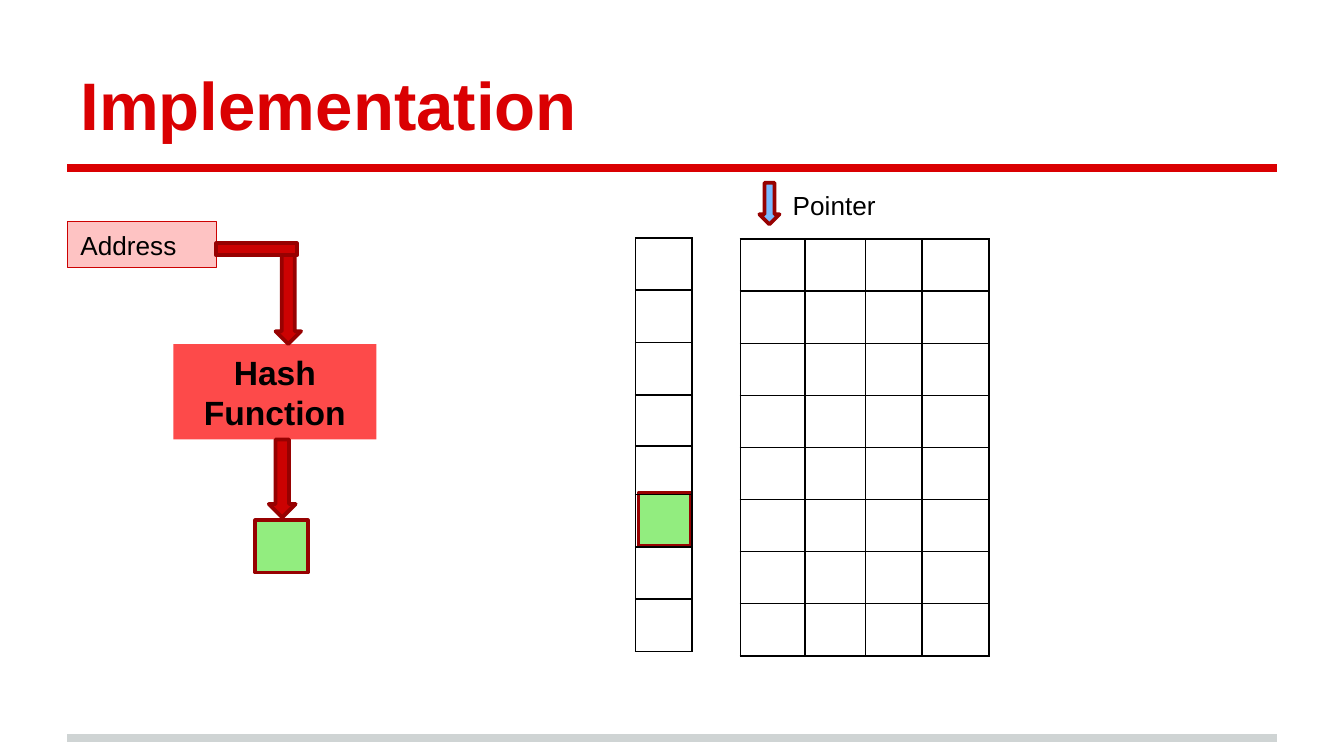
"""Build the Implementation slide: hash function, index column and pointer grid."""
from dataclasses import dataclass

from lxml.etree import SubElement
from pptx import Presentation
from pptx.dml.color import RGBColor
from pptx.enum.shapes import MSO_CONNECTOR, MSO_SHAPE as Preset
from pptx.enum.text import MSO_ANCHOR as Anchor, PP_ALIGN as Align
from pptx.oxml import parse_xml
from pptx.oxml.ns import nsdecls, qn
from pptx.util import Inches, Pt


@dataclass(frozen=True)
class Theme:
    font: str = "Arial"
    title: str = "DA0002"
    footer: str = "CFD4D4"
    address: str = "FEC3C3"
    hash_box: str = "FD4A4A"
    flow: str = "CC0202"
    outline: str = "970101"
    entry: str = "92ED7F"
    pointer: str = "7AB9FF"
    ink: str = "000000"
    title_size: int = 36
    hash_size: int = 18
    label_size: int = 14


theme = Theme()


def write(shape, text, size, color=theme.ink, bold=False, align=Align.LEFT, anchor=Anchor.MIDDLE):
    frame = shape.text_frame
    frame.text = text
    frame.word_wrap = True
    frame.vertical_anchor = anchor
    paragraph = frame.paragraphs[0]
    paragraph.alignment = align
    font = paragraph.runs[0].font
    font.name, font.size, font.bold = theme.font, Pt(size), bold
    font.color.rgb = RGBColor.from_string(color)


def draw(preset, box, fill, line=theme.outline, width=2):
    shape = slide.shapes.add_shape(preset, *map(Inches, box))
    shape.shadow.inherit = False
    shape.fill.solid()
    shape.fill.fore_color.rgb = RGBColor.from_string(fill)
    if line:
        shape.line.color.rgb = RGBColor.from_string(line)
        shape.line.width = Pt(width)
    else:
        shape.line.fill.background()
    return shape


deck = Presentation()
deck.slide_width, deck.slide_height = Inches(10), Inches(10 * 9 / 16)
slide = deck.slides.add_slide(deck.slide_layouts[5])

for y, color in ((5.49, theme.footer), (1.25, theme.title)):
    rule = slide.shapes.add_connector(
        MSO_CONNECTOR.STRAIGHT, Inches(0.5), Inches(y), Inches(9.5), Inches(y))
    rule.line.color.rgb = RGBColor.from_string(color)
    rule.line.width = Pt(4)
    SubElement(rule.element.spPr, qn("a:effectLst"))

title = slide.shapes.title
title.left, title.top, title.width, title.height = map(Inches, (0.5, 0.23, 9, 0.94))
write(title, "Implementation", theme.title_size, theme.title, True, anchor=Anchor.BOTTOM)
frame = title.text_frame
frame.margin_left = frame.margin_right = frame.margin_top = frame.margin_bottom = Inches(0.1)

address = draw(Preset.RECTANGLE, (0.5, 1.65, 1.11, 0.34), theme.address, theme.flow, 0.75)
write(address, "Address", theme.label_size)
hash_box = draw(Preset.RECTANGLE, (1.29, 2.56, 1.51, 0.71), theme.hash_box, None)
write(hash_box, "Hash Function", theme.hash_size, bold=True, align=Align.CENTER)

for preset, box, fill in (
    (Preset.DOWN_ARROW, (2.05, 1.82, 0.19, 0.74), theme.flow),
    (Preset.RECTANGLE, (4.75, 3.67, 0.39, 0.39), theme.entry),
    (Preset.RECTANGLE, (1.9, 3.87, 0.39, 0.39), theme.entry),
    (Preset.DOWN_ARROW, (2, 3.27, 0.2, 0.58), theme.flow),
    (Preset.RECTANGLE, (1.61, 1.81, 0.6, 0.09), theme.flow),
):
    draw(preset, box, fill)

index_rows = [0.39] * 3 + [0.38, 0.36] + [0.39] * 3
grid_rows = [3.1 / 8] * 8
for left, top, columns, rows in (
    (4.73, 1.77, [0.42], index_rows),
    (5.51, 1.78, [0.48, 0.45, 0.42, 0.5], grid_rows),
):
    table = slide.shapes.add_table(
        len(rows), len(columns), Inches(left), Inches(top),
        Inches(sum(columns)), Inches(sum(rows))).table
    table.first_row = table.horz_banding = False
    for column, width in zip(table.columns, columns):
        column.width = Inches(width)
    for row, height in zip(table.rows, rows):
        row.height = Inches(height)
    for cell in table.iter_cells():
        cell.margin_top = cell.margin_bottom = 0
        properties = cell._tc.get_or_add_tcPr()
        for side in "LRTB":
            properties.append(parse_xml(
                f'<a:ln{side} {nsdecls("a")} w="{Pt(1)}"><a:solidFill>'
                f'<a:srgbClr val="{theme.ink}"/></a:solidFill></a:ln{side}>'))
        cell.fill.background()

draw(Preset.DOWN_ARROW, (5.65, 1.36, 0.15, 0.31), theme.pointer)
pointer_label = slide.shapes.add_textbox(*map(Inches, (5.8, 1.36, 0.85, 0.34)))
write(pointer_label, "Pointer", theme.label_size, anchor=Anchor.TOP)

deck.save("out.pptx")
